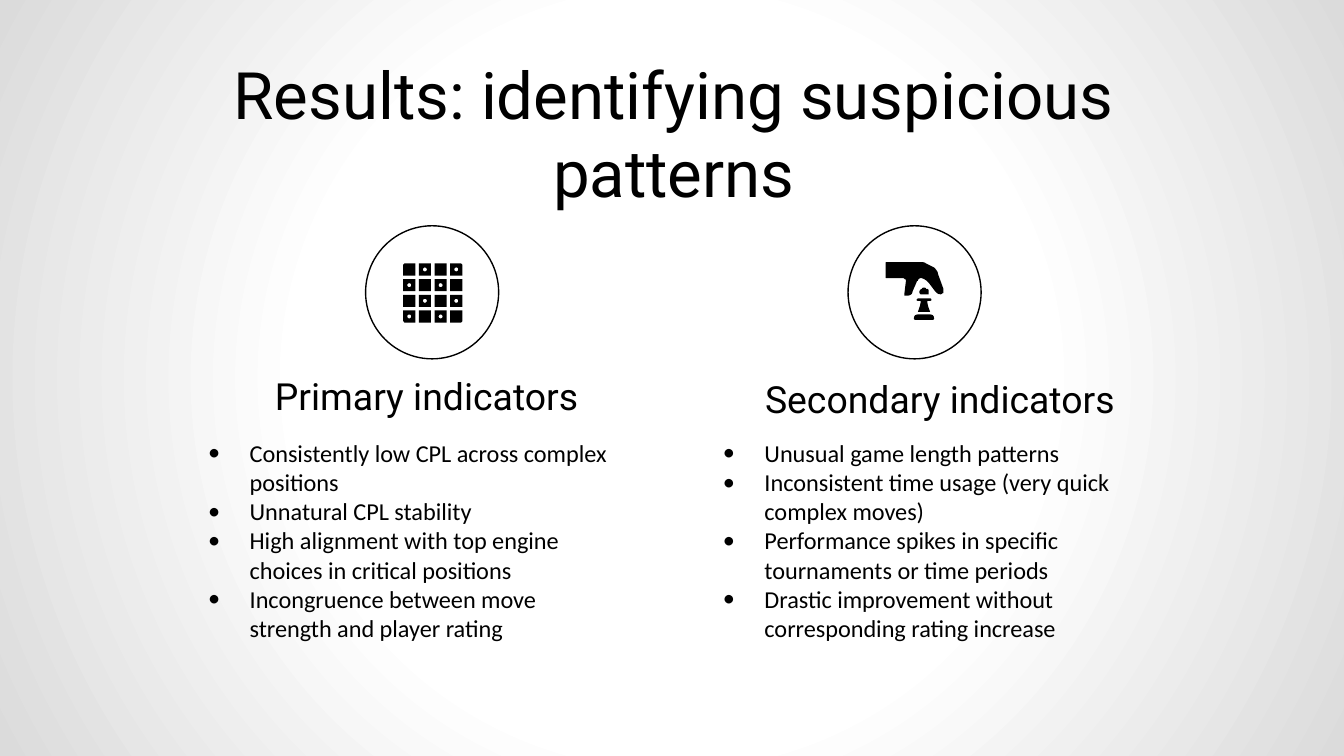
"""Build the slide on suspicious patterns: two indicator columns, each with an icon."""
from math import cos, pi, sin

from lxml import etree
from pptx import Presentation
from pptx.dml.color import RGBColor
from pptx.enum.shapes import MSO_SHAPE
from pptx.enum.text import MSO_ANCHOR, PP_ALIGN
from pptx.oxml import parse_xml
from pptx.oxml.ns import nsdecls, qn
from pptx.util import Inches, Pt

CENTER, LEFT = PP_ALIGN.CENTER, PP_ALIGN.LEFT
TOP, BOTTOM = MSO_ANCHOR.TOP, MSO_ANCHOR.BOTTOM
CIRCLE = MSO_SHAPE.OVAL
BLACK = RGBColor(0, 0, 0)
WHITE = RGBColor(0xFF, 0xFF, 0xFF)
GREY = RGBColor(0xDB, 0xDB, 0xDB)
BACKGROUND_STOPS = [(0, WHITE), (48, WHITE), (100, GREY)]

TITLE = "Results: identifying suspicious patterns"
COLUMNS = [
    {
        "heading": "Primary indicators",
        "heading_box": (1.51, 2.77, 3.33, 0.44),
        "points": [
            "Consistently low CPL across complex positions",
            "Unnatural CPL stability",
            "High alignment with top engine choices in critical positions",
            "Incongruence between move strength and player rating",
        ],
        "points_box": (1.45, 3.16, 3.27, 1.11),
        "circle_left": 2.72,
    },
    {
        "heading": "Secondary indicators",
        "heading_box": (5.16, 2.79, 3.67, 0.44),
        "points": [
            "Unusual game length patterns",
            "Inconsistent time usage (very quick complex moves)",
            "Performance spikes in specific tournaments or time periods",
            "Drastic improvement without corresponding rating increase",
        ],
        "points_box": (5.28, 3.16, 3.32, 1.11),
        "circle_left": 6.31,
    },
]
CIRCLE_TOP, CIRCLE_SIZE = 1.68, 0.99

BOARD_LEFT, BOARD_TOP, BOARD_SIZE = 3.0, 1.96, 0.44
CELLS, CELL_SIZE, CORNER_CUT, DOT_SIZE = 4, 0.09, 0.01, 0.03

PAWN_BODY = [
    (6.84, 2.22), (6.83, 2.22, 6.83, 2.22, 6.82, 2.23), (6.82, 2.24, 6.83, 2.24, 6.84, 2.24),
    (6.85, 2.24), (6.85, 2.27, 6.84, 2.29, 6.83, 2.32), (6.92, 2.32),
    (6.91, 2.29, 6.9, 2.27, 6.9, 2.24), (6.91, 2.24), (6.92, 2.24, 6.93, 2.24, 6.93, 2.23),
    (6.93, 2.22, 6.92, 2.22, 6.91, 2.22),
]
PAWN_HEAD = [
    (6.88, 2.14), (6.87, 2.14, 6.86, 2.14, 6.86, 2.15), (6.85, 2.15, 6.84, 2.16, 6.84, 2.18),
    (6.85, 2.19), (6.91, 2.19), (6.91, 2.18), (6.91, 2.16, 6.91, 2.15, 6.9, 2.15),
    (6.89, 2.15), (6.89, 2.14, 6.88, 2.14, 6.88, 2.14),
]
PAWN_BASE = [
    (6.83, 2.34), (6.81, 2.34, 6.8, 2.35, 6.8, 2.37), (6.8, 2.38, 6.81, 2.38, 6.81, 2.38),
    (6.94, 2.38), (6.94, 2.38, 6.95, 2.38, 6.95, 2.37), (6.95, 2.35, 6.94, 2.34, 6.92, 2.34),
]
HAND = [
    (6.6, 1.95), (6.59, 1.95, 6.59, 1.95, 6.59, 1.96), (6.59, 2.06),
    (6.59, 2.07, 6.59, 2.07, 6.6, 2.07), (6.72, 2.07), (6.73, 2.07, 6.73, 2.08, 6.74, 2.08),
    (6.74, 2.08, 6.74, 2.09, 6.74, 2.1), (6.73, 2.18), (6.73, 2.18, 6.73, 2.19, 6.73, 2.2),
    (6.74, 2.2, 6.74, 2.2, 6.75, 2.2), (6.77, 2.2, 6.79, 2.19, 6.79, 2.17), (6.82, 2.1),
    (6.82, 2.1, 6.82, 2.09, 6.83, 2.09), (6.83, 2.08, 6.84, 2.07, 6.85, 2.07),
    (6.85, 2.07, 6.86, 2.07, 6.86, 2.07), (6.89, 2.08, 6.91, 2.1, 6.93, 2.13), (6.96, 2.17),
    (6.97, 2.18, 6.98, 2.19, 7, 2.19), (7.01, 2.19, 7.01, 2.18, 7.02, 2.18),
    (7.02, 2.17, 7.02, 2.16, 7.02, 2.15), (6.98, 2.04), (6.98, 2.02, 6.96, 2, 6.95, 1.99),
    (6.89, 1.96), (6.88, 1.95, 6.86, 1.95, 6.85, 1.95),
]


def paint_background(slide):
    stops = "".join(
        f'<a:gs pos="{pos * 1000}"><a:srgbClr val="{color}"/></a:gs>'
        for pos, color in BACKGROUND_STOPS
    )
    background = parse_xml(
        f'<p:bg {nsdecls("p", "a")}><p:bgPr><a:gradFill rotWithShape="1"><a:gsLst>{stops}</a:gsLst>'
        '<a:path path="circle"><a:fillToRect l="50000" t="50000" r="50000" b="50000"/></a:path>'
        "</a:gradFill><a:effectLst/></p:bgPr></p:bg>"
    )
    slide.element.cSld.insert(0, background)


def add_bullet(paragraph, font):
    properties = paragraph._p.get_or_add_pPr()
    properties.set("marL", str(Inches(0.31)))
    properties.set("indent", str(-Inches(0.31)))
    color = etree.SubElement(properties, qn("a:buClr"))
    etree.SubElement(color, qn("a:srgbClr"), val=str(BLACK))
    etree.SubElement(properties, qn("a:buFont"), typeface=font)
    etree.SubElement(properties, qn("a:buChar"), char="•")


def add_text(slide, box, lines, font, size, align=CENTER, anchor=TOP, bulleted=False):
    frame = slide.shapes.add_textbox(*map(Inches, box)).text_frame
    frame.word_wrap = True
    frame.vertical_anchor = anchor
    frame.margin_left = frame.margin_right = Inches(0.1)
    frame.margin_top = frame.margin_bottom = Inches(0.1)
    frame.text = "\n".join(lines)
    for paragraph in frame.paragraphs:
        if bulleted:
            add_bullet(paragraph, font)
        paragraph.alignment = align
        paragraph.font.name = font
        paragraph.font.size = Pt(size)
        paragraph.font.color.rgb = BLACK


def add_circle(slide, left):
    circle = slide.shapes.add_shape(
        CIRCLE, Inches(left), Inches(CIRCLE_TOP), Inches(CIRCLE_SIZE), Inches(CIRCLE_SIZE)
    )
    circle.shadow.inherit = False
    circle.fill.background()
    circle.line.color.rgb = BLACK
    circle.line.width = Pt(0.75)


def flatten(outline, steps=6):
    points = []
    for segment in outline:
        if len(segment) == 2:
            points.append(segment)
            continue
        start, controls = points[-1], (segment[:2], segment[2:4], segment[4:])
        for t in (step / steps for step in range(1, steps + 1)):
            weights = ((1 - t) ** 3, 3 * t * (1 - t) ** 2, 3 * t * t * (1 - t), t ** 3)
            points.append(tuple(
                sum(w * p[axis] for w, p in zip(weights, (start, *controls))) for axis in (0, 1)
            ))
    return points


def add_outline(slide, *contours):
    scaled = [[(Inches(x), Inches(y)) for x, y in contour] for contour in contours]
    builder = slide.shapes.build_freeform(*scaled[0][0])
    builder.add_line_segments(scaled[0][1:], close=True)
    for contour in scaled[1:]:
        builder.move_to(*contour[0])
        builder.add_line_segments(contour[1:], close=True)
    shape = builder.convert_to_shape()
    shape.shadow.inherit = False
    shape.fill.solid()
    shape.fill.fore_color.rgb = BLACK
    shape.line.fill.background()


def add_board(slide):
    pitch, last = (BOARD_SIZE - CELL_SIZE) / (CELLS - 1), CELLS - 1
    half = CELL_SIZE / 2
    for row in range(CELLS):
        for column in range(CELLS):
            x = BOARD_LEFT + column * pitch + half
            y = BOARD_TOP + row * pitch + half
            square = []
            for sx, sy in ((-1, -1), (1, -1), (1, 1), (-1, 1)):
                outer = (column, row) == (last * (sx > 0), last * (sy > 0))
                cut = half - CORNER_CUT if outer else half
                ends = [(x + sx * half, y + sy * cut), (x + sx * cut, y + sy * half)]
                square += ends if sx == sy else ends[::-1]
            contours = [square]
            if (row + column) % 2:
                angles = [2 * pi * i / 12 for i in range(12)]
                contours.append([
                    (x + DOT_SIZE / 2 * cos(a), y - DOT_SIZE / 2 * sin(a)) for a in angles
                ])
            add_outline(slide, *contours)


def main():
    deck = Presentation()
    deck.slide_width = Inches(10)
    deck.slide_height = deck.slide_width * 9 // 16
    slide = deck.slides.add_slide(deck.slide_layouts[6])
    paint_background(slide)
    add_text(slide, (0.8, 0.3, 8.43, 0.63), [TITLE], "Roboto", 35)
    for column in COLUMNS:
        add_text(slide, column["heading_box"], [column["heading"]], "Roboto", 20, anchor=BOTTOM)
        add_text(slide, column["points_box"], column["points"], "Calibri", 13, LEFT, bulleted=True)
        add_circle(slide, column["circle_left"])
    add_board(slide)
    for outline in (PAWN_BODY, PAWN_HEAD, PAWN_BASE, HAND):
        add_outline(slide, flatten(outline))
    deck.save("out.pptx")


if __name__ == "__main__":
    main()
